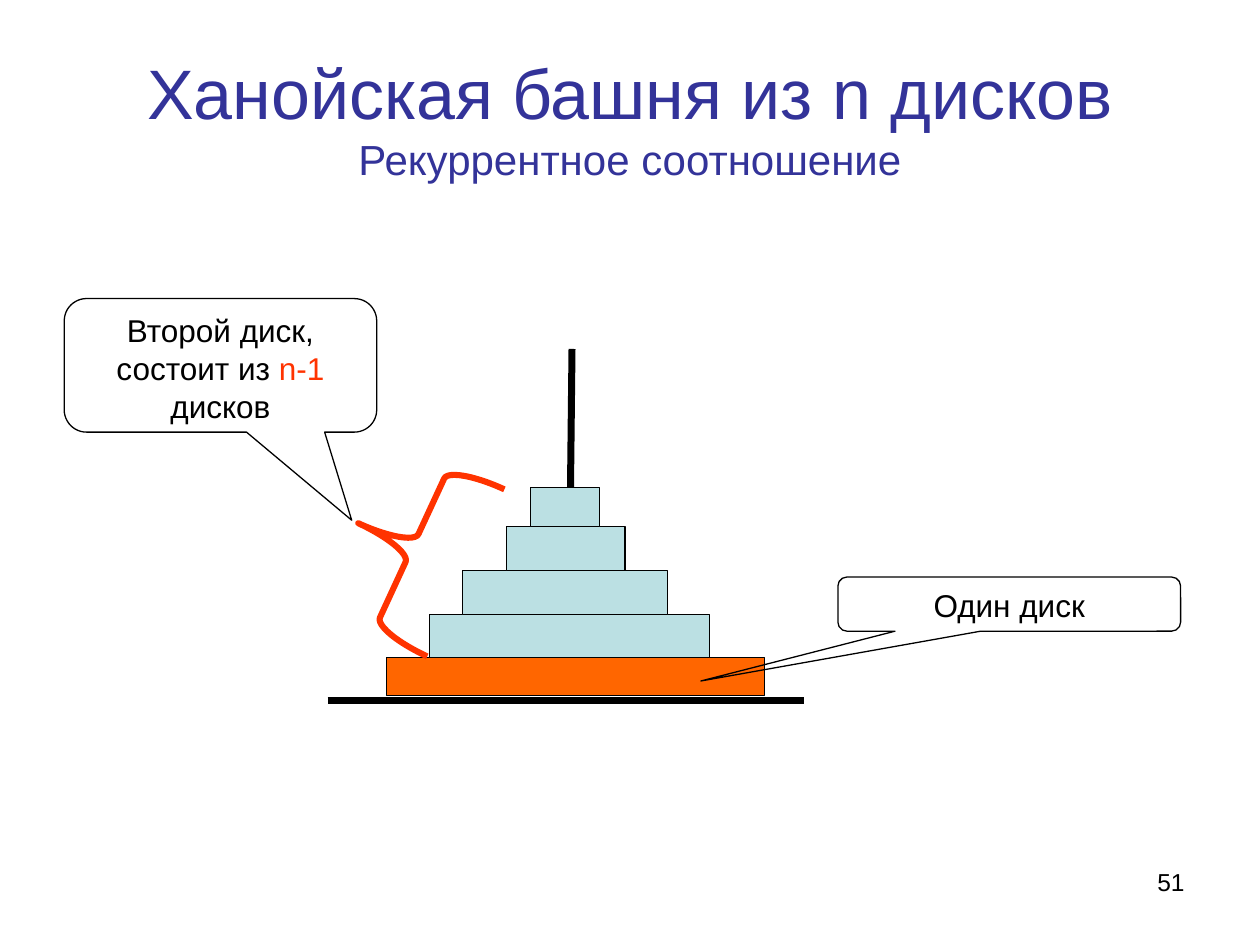
from pptx import Presentation
from pptx.dml.color import RGBColor
from pptx.enum import shapes, text
from pptx.oxml import ns
from pptx.util import Inches, Pt
from lxml import etree

COLORS = {"title": "333399", "ink": "000000", "accent": "FF3300",
          "base": "FF6600", "disk": "BBE0E3"}


def rgb(name):
    return RGBColor.from_string(COLORS[name])


def write(frame, runs, size=18, color="ink", align=text.PP_ALIGN.CENTER,
          anchor=text.MSO_ANCHOR.TOP):
    frame.word_wrap = True
    frame.vertical_anchor = anchor
    paragraph = frame.paragraphs[0]
    paragraph.alignment = align
    for content, changes in runs:
        if content == "\n":
            paragraph.add_line_break()
            continue
        run = paragraph.add_run()
        run.text = content
        run.font.name = "Arial"
        run.font.size = Pt(changes.get("size", size))
        run.font.color.rgb = rgb(changes.get("color", color))


def draw(slide, preset, box, fill=None, line="ink", width=0.75):
    shape = slide.shapes.add_shape(preset, *map(Inches, box))
    shape.shadow.inherit = False
    if fill:
        shape.fill.solid()
        shape.fill.fore_color.rgb = rgb(fill)
    else:
        shape.fill.background()
    shape.line.color.rgb = rgb(line)
    shape.line.width = Pt(width)
    return shape


def draw_bar(slide, start, end):
    bar = slide.shapes.add_connector(
        shapes.MSO_CONNECTOR.STRAIGHT, *map(Inches, start + end))
    bar.line.color.rgb = rgb("ink")
    bar.line.width = Pt(4)
    etree.SubElement(bar._element.spPr, ns.qn("a:effectLst"))


def add_label(slide, box, runs, **style):
    label = slide.shapes.add_textbox(*map(Inches, box))
    write(label.text_frame, runs, **style)


def add_tower(slide, box):
    left, top, width, height = box
    floor = top + height
    draw_bar(slide, (left, floor), (left + width, floor))
    draw_bar(slide, (left + 1.91, floor - 0.05), (left + 1.94, top))
    disks = [(0.47, 3, 0.3), (0.81, 2.22, 0.34), (1.07, 1.63, 0.35),
             (1.42, 0.94, 0.35), (1.61, 0.55, 0.31)]
    disk_top = floor - 0.04
    for level, (offset, disk_width, disk_height) in enumerate(disks):
        disk_top -= disk_height
        draw(slide, shapes.MSO_SHAPE.RECTANGLE,
             (left + offset, disk_top, disk_width, disk_height),
             fill="disk" if level else "base")


def add_brace(slide, box):
    brace = draw(slide, shapes.MSO_SHAPE.LEFT_BRACE, box, line="accent", width=3.5)
    brace.adjustments[0] = 0.13
    brace.adjustments[1] = 0.5
    brace.rotation = 24.8


def add_callout(slide, box, tip, runs):
    callout = draw(slide, shapes.MSO_SHAPE.ROUNDED_RECTANGULAR_CALLOUT, box)
    for index, value in enumerate((*tip, 0.167)):
        callout.adjustments[index] = value
    write(callout.text_frame, runs)


def main():
    deck = Presentation()
    deck.slide_width, deck.slide_height = Inches(10), Inches(7.5)
    slide = deck.slides.add_slide(deck.slide_layouts[6])

    add_label(slide, (0.5, 0.3, 9, 1.25),
              [("Ханойская башня из n дисков", {}), ("\n", {}),
               ("Рекуррентное соотношение", {"size": 24})],
              size=40, color="title", anchor=text.MSO_ANCHOR.MIDDLE)
    add_tower(slide, (2.6, 2.77, 3.78, 2.79))
    add_callout(slide, (6.65, 4.58, 2.72, 0.43), (-0.9, 1.42),
                [("Один диск", {})])
    add_brace(slide, (2.8, 3.62, 0.94, 1.46))
    add_callout(slide, (0.51, 2.37, 2.48, 1.06), (0.42, 1.16),
                [("Второй диск, состоит из ", {}),
                 ("n-1 ", {"color": "accent"}), ("дисков", {})])
    add_label(slide, (7.17, 6.83, 2.33, 0.52), [("51", {})],
              size=14, align=text.PP_ALIGN.RIGHT)
    deck.save("out.pptx")


if __name__ == "__main__":
    main()
